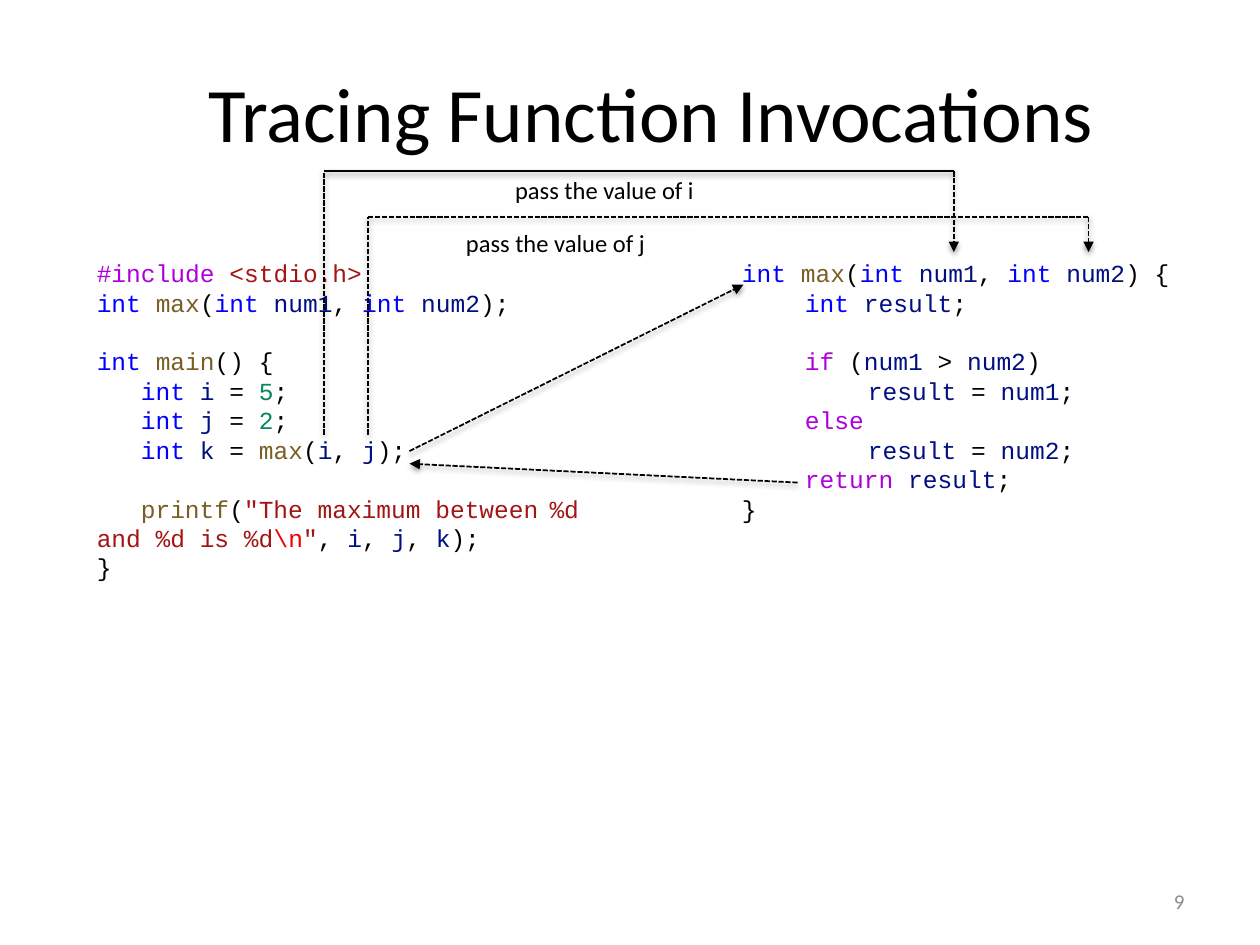
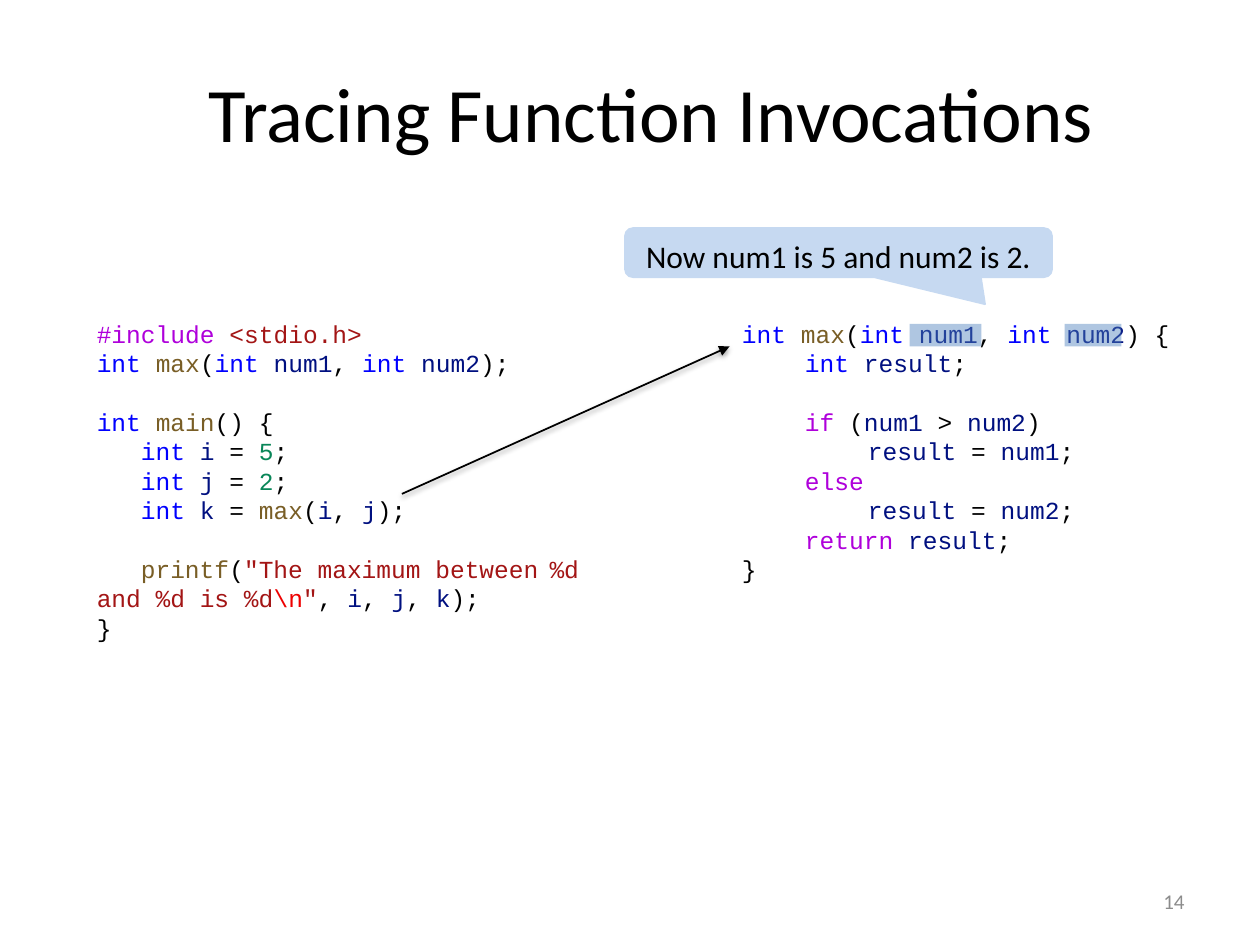
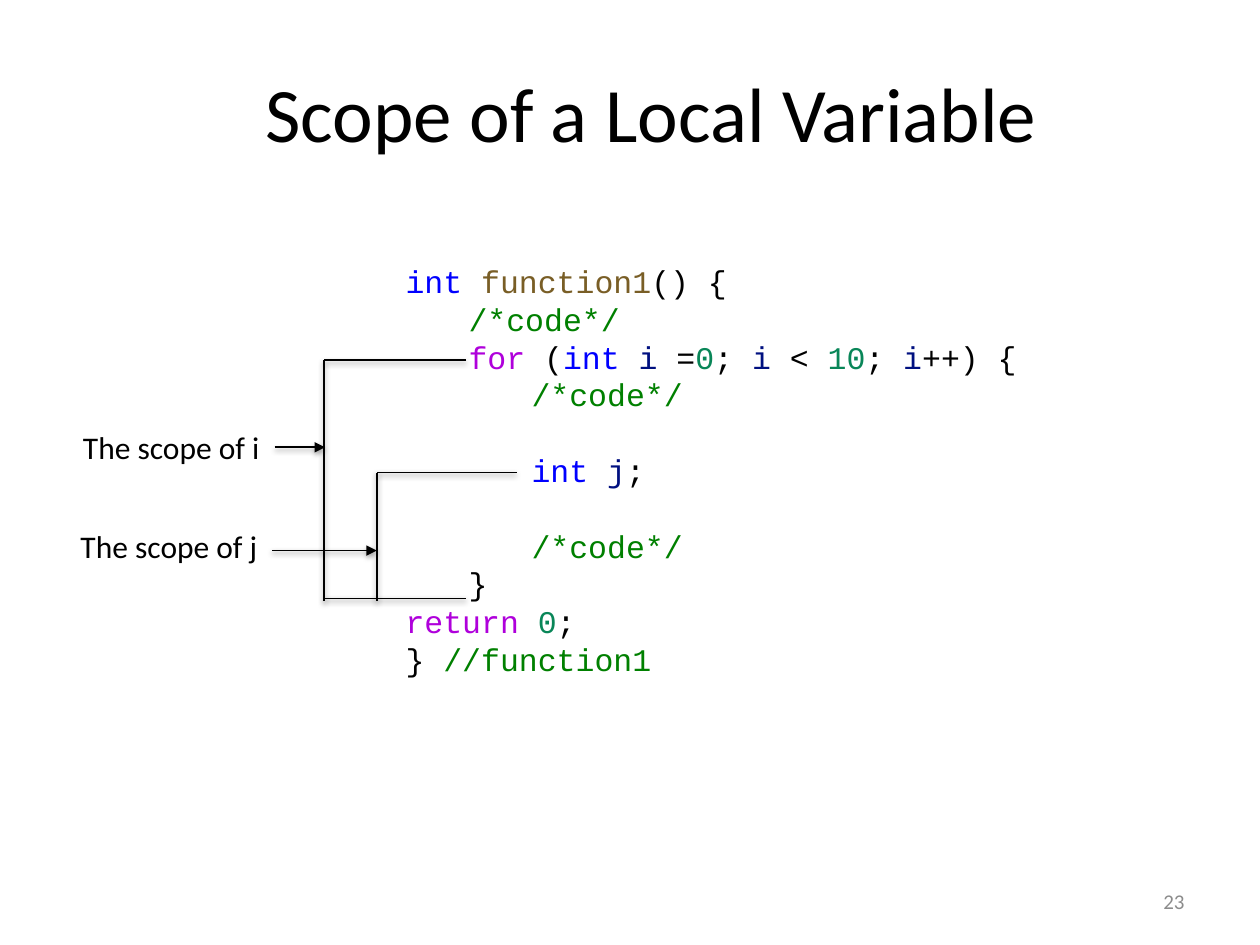
from pptx import Presentation
from pptx import util as u
from pptx.dml.color import RGBColor
from pptx.enum import dml, shapes, text
from pptx.oxml import parse_xml
from pptx.oxml.ns import nsdecls

# Colours: one letter for each kind of code token
hues = {
    "p": "000000",  # plain
    "t": "0000FF",  # type
    "f": "795E26",  # function
    "v": "001080",  # variable
    "k": "AF00DB",  # keyword
    "s": "A31515",  # string
    "e": "EE0000",  # escape
    "n": "098658",  # number
    "c": "008000",  # comment
    "grey": "8C8C8C",
    "pale": "C6D9F1",
    "mark": "4F81BD",
}
LEFT, MID, RIGHT = text.PP_ALIGN.LEFT, text.PP_ALIGN.CENTER, text.PP_ALIGN.RIGHT
TAB, STEP = 0.5, 0.35

# Code lines: indent, blank lines before, coloured parts as "letter:text"
main_code = [
    (0, 0, "k:#include |s:<stdio.h>"),
    (0, 0, "t:int |f:max|p:(|t:int |v:num1|p:, |t:int |v:num2|p:);"),
    (0, 1, "t:int |f:main|p:() {"),
    (STEP, 0, "t:int |v:i|p: = |n:5|p:;"),
    (STEP, 0, "t:int |v:j|p: = |n:2|p:;"),
    (STEP, 0, "t:int |v:k|p: = |f:max|p:(|v:i|p:, |v:j|p:);"),
    (STEP, 1, 'f:printf|p:(|s:"The maximum between \t%d and %d is %d|e:\\n|s:"'
              "|p:, |v:i|p:, |v:j|p:, |v:k|p:);"),
    (0, 0, "p:}"),
]
max_code = [
    (0, 0, "t:int |f:max|p:(|t:int |v:num1|p:, |t:int |v:num2|p:) {"),
    (TAB, 0, "t:int |v:result|p:;"),
    (TAB, 1, "k:if|p: (|v:num1|p: > |v:num2|p:)"),
    (2 * TAB, 0, "v:result|p: = |v:num1|p:;"),
    (TAB, 0, "k:else"),
    (2 * TAB, 0, "v:result|p: = |v:num2|p:;"),
    (TAB, 0, "k:return |v:result|p:;"),
    (0, 0, "p:}"),
]
scope_code = [
    (0, 0, "t:int |f:function1|p:() {"),
    (TAB, 0, "c:/*code*/"),
    (TAB, 0, "k:for|p: (|t:int |v:i|p: =|n:0|p:; |v:i|p: < |n:10|p:; |v:i|p:++) {"),
    (2 * TAB, 0, "c:/*code*/"),
    (2 * TAB, 1, "t:int |v:j|p:;"),
    (2 * TAB, 1, "c:/*code*/"),
    (TAB, 0, "p:}"),
    (0, 0, "k:return |n:0|p:;"),
    (0, 0, "p:} |c://function1"),
]


def write(shape, lines, size, align=LEFT, hue=None, wrap=True):
    """Fill a shape with one plain string or with a list of code lines."""
    code = isinstance(lines, list)
    frame = shape.text_frame
    frame.word_wrap = wrap
    for num, (shift, gap, parts) in enumerate(lines if code else [(0, 0, "p:" + lines)]):
        para = frame.paragraphs[0] if num == 0 else frame.add_paragraph()
        para.alignment = align
        para.font.size = u.Pt(size)
        para.font.name = "Courier New" if code else "Calibri"
        if code:
            para.line_spacing = u.Pt(size * 1.2)
            para.space_before = u.Pt(size * 1.2 * gap)
            props = para._p.get_or_add_pPr()
            props.set("marL", "0")
            props.set("indent", str(u.Inches(shift)))
        for part in parts.split("|"):
            run = para.add_run()
            run.text = part[2:]
            run.font.color.rgb = RGBColor.from_string(hues[hue or part[0]])


def draw(slide, start, end, dash=False, head=False):
    """Draw a thin black line with a soft shadow below it."""
    line = slide.shapes.add_connector(
        shapes.MSO_CONNECTOR.STRAIGHT, *[u.Inches(n) for n in start + end])
    line.line.color.rgb = RGBColor.from_string(hues["p"])
    line.line.width = u.Pt(1)
    if dash:
        line.line.dash_style = dml.MSO_LINE.SQUARE_DOT
    props = line._element.spPr
    if head:
        props.ln.append(parse_xml(f'<a:tailEnd {nsdecls("a")} type="triangle"/>'))
    props.append(parse_xml(
        f'<a:effectLst {nsdecls("a")}>'
        f'<a:outerShdw blurRad="{u.Pt(3.1)}" dist="{u.Pt(1.6)}" dir="5400000" rotWithShape="0">'
        f'<a:srgbClr val="{hues["p"]}"><a:alpha val="38000"/></a:srgbClr>'
        "</a:outerShdw></a:effectLst>"))


deck = Presentation()
deck.slide_width, deck.slide_height = u.Inches(10), u.Inches(7.5)

# Slides with title and page number
trace = "Tracing Function Invocations"
for page, title in ((9, trace), (14, trace), (23, "Scope of a Local Variable")):
    slide = deck.slides.add_slide(deck.slide_layouts[6])
    foot = slide.shapes.add_textbox(*[u.Inches(n) for n in (7.17, 6.95, 2.33, 0.4)])
    foot.text_frame.vertical_anchor = text.MSO_ANCHOR.MIDDLE
    write(foot, str(page), 12, RIGHT, "grey")
    head = slide.shapes.add_textbox(*[u.Inches(n) for n in (0.67, 0.47, 9, 1.25)])
    write(head, title, 44, MID)
call, body, scope = deck.slides

# Code blocks
for slide, box, code, size in (
    (call, (0.67, 2, 4.14, 2.69), main_code, 14),
    (call, (5.79, 2, 3.71, 2.21), max_code, 14),
    (body, (0.67, 2.48, 4.14, 2.69), main_code, 14),
    (body, (5.79, 2.48, 3.71, 2.21), max_code, 14),
    (scope, (3.12, 2.03, 6.38, 3.43), scope_code, 18),
):
    write(slide.shapes.add_textbox(*[u.Inches(n) for n in box]), code, size)

# Labels
for slide, box, words, size in (
    (call, (3.99, 1.34, 1.63, 0.34), "pass the value of i", 14),
    (call, (3.6, 1.76, 1.63, 0.34), "pass the value of j", 14),
    (scope, (0.56, 3.35, 1.62, 0.4), "The scope of i", 18),
    (scope, (0.54, 4.13, 1.62, 0.4), "The scope of j", 18),
):
    write(slide.shapes.add_textbox(*[u.Inches(n) for n in box]), words, size, wrap=False)

# Slide 1: paths of the arguments i and j, then call and return
for left, right, top, dash in ((2.57, 7.57, 1.36, False), (2.92, 8.64, 1.72, True)):
    draw(call, (left, 3.45), (left, top), dash=True)
    draw(call, (left, top), (right, top), dash=dash)
    draw(call, (right, top), (right, 2), dash=True, head=True)
draw(call, (3.25, 3.58), (5.9, 2.26), dash=True, head=True)
draw(call, (6.33, 3.83), (3.25, 3.68), dash=True, head=True)

# Slide 2: callout, call arrow and marked parameters
note = body.shapes.add_shape(
    shapes.MSO_SHAPE.ROUNDED_RECTANGULAR_CALLOUT,
    *[u.Inches(n) for n in (4.96, 1.81, 3.39, 0.39)])
for num, ratio in enumerate((0.343, 1.049, 0.167)):
    note.adjustments[num] = ratio
note.shadow.inherit = False
note.fill.solid()
note.fill.fore_color.rgb = RGBColor.from_string(hues["pale"])
note.line.color.rgb = RGBColor.from_string(hues["pale"])
note.line.width = u.Pt(1)
note.text_frame.vertical_anchor = text.MSO_ANCHOR.TOP
write(note, "Now num1 is 5 and num2 is 2.", 18, MID)

draw(body, (3.19, 3.92), (5.79, 2.75), head=True)
for left, width in ((7.22, 0.57), (8.45, 0.45)):
    mark = body.shapes.add_shape(
        shapes.MSO_SHAPE.RECTANGLE, *[u.Inches(n) for n in (left, 2.57, width, 0.18)])
    mark.shadow.inherit = False
    mark.line.fill.background()
    mark.fill.solid()
    mark.fill.fore_color.rgb = RGBColor.from_string(hues["mark"])
    tint = mark._element.spPr.find(".//{*}srgbClr")
    tint.append(parse_xml(f'<a:alpha {nsdecls("a")} val="45000"/>'))

# Slide 3: brackets for the scopes of i and j
for start, end in (
    ((3.7, 2.86), (2.57, 2.86)),
    ((2.57, 2.86), (2.57, 4.77)),
    ((2.57, 4.75), (3.7, 4.75)),
    ((4.1, 3.75), (2.99, 3.75)),
    ((2.99, 3.75), (2.99, 4.77)),
):
    draw(scope, start, end)
draw(scope, (2.18, 3.55), (2.58, 3.55), head=True)
draw(scope, (2.16, 4.37), (2.99, 4.37), head=True)

deck.save("out.pptx")
